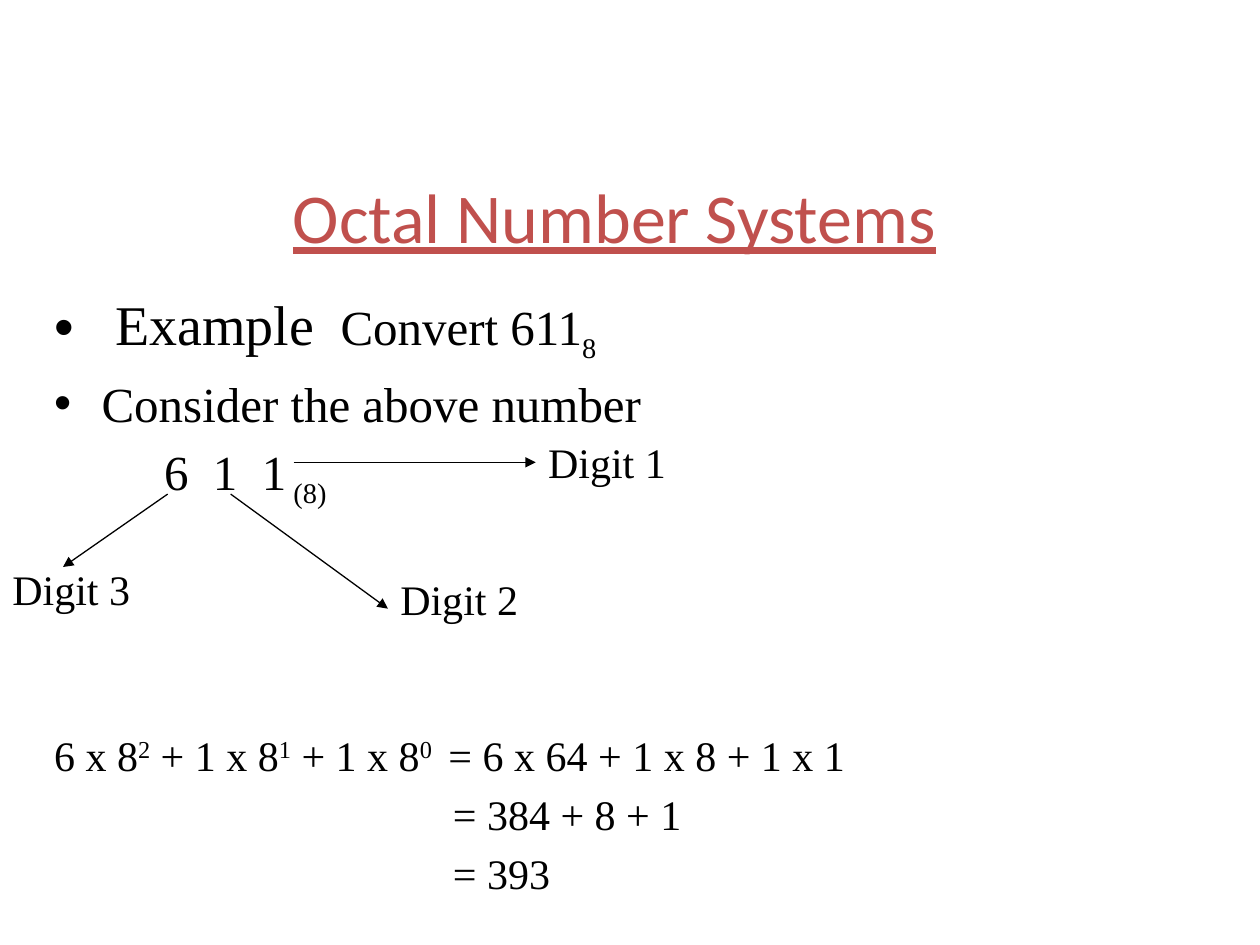
"""Build the slide that converts an octal number to decimal."""
import pptx
import pptx.dml.color
import pptx.enum.shapes
import pptx.enum.text
import pptx.oxml.ns
import pptx.util
from lxml import etree

Cm, Pt = pptx.util.Cm, pptx.util.Pt
RED = pptx.dml.color.RGBColor(0xC0, 0x50, 0x4D)
BLACK = pptx.dml.color.RGBColor(0, 0, 0)
SERIF = "Times New Roman"
SUB, SUP = {"baseline": "-25000"}, {"baseline": "30000"}
WIDE = {"spc": "350"}

TITLE = "Octal Number Systems"
STEPS = [
    {"runs": [("Example ", 32, {}), (" Convert 611", 28, {}), ("8", 28, SUB)],
     "left": 1.23, "hang": 1.23, "bullet": True},
    {"runs": [("Consider the above number", 28, {})],
     "left": 0.96, "hang": 0.96, "bullet": True},
    {"runs": [("6 1 ", 28, WIDE), ("1", 28, {}), (" (8)", 28, SUB)],
     "left": 2.22},
]
SUMS = [
    {"runs": [("6 x 8", 24, {}), ("2", 24, SUP), (" + 1 x 8", 24, {}),
              ("1", 24, SUP), (" + 1 x 8", 24, {}), ("0 ", 24, SUP),
              (" = 6 x 64 + 1 x 8 + 1 x 1", 24, {})]},
    {"runs": [("= 384 + 8 + 1", 24, {})], "left": 8.04},
    {"runs": [("= 393", 24, {})], "left": 8.04},
]
BLOCKS = [
    (STEPS, (0.84, 5.72, 23.5, 5.2), 5.5),
    (SUMS, (0.84, 14.58, 23.5, 4.2), 5),
]
LABELS = [
    ("Digit 1", (10.8, 8.68), (5.92, 9.32), (10.8, 9.32)),
    ("Digit 2", (7.82, 11.43), (4.65, 9.96), (7.82, 12.27)),
    ("Digit 3", (0, 11.23), (3.38, 9.96), (1.27, 11.43)),
]


def add(node, tag, **attrs):
    return etree.SubElement(node, pptx.oxml.ns.qn(tag), attrs)


def add_box(slide, place):
    box = slide.shapes.add_textbox(*map(Cm, place))
    box.text_frame.word_wrap = True
    return box


def fill_para(para, runs, left=0, hang=0, bullet=False):
    props = para._p.get_or_add_pPr()
    props.set("marL", str(Cm(left)))
    props.set("indent", str(-Cm(hang)))
    if bullet:
        add(props, "a:buFont", typeface="Arial")
        add(props, "a:buChar", char="•")
    else:
        add(props, "a:buNone")
    para.font.name = SERIF
    para.font.color.rgb = BLACK
    for text, size, style in runs:
        run = para.add_run()
        run.text = text
        run.font.size = Pt(size)
        for name, value in style.items():
            run.font._element.set(name, value)


def add_block(slide, rows, place, gap):
    frame = add_box(slide, place).text_frame
    for num, row in enumerate(rows):
        para = frame.add_paragraph() if num else frame.paragraphs[0]
        fill_para(para, **row)
        if num:
            para.space_before = Pt(gap)


def add_label(slide, text, spot, start, end):
    box = add_box(slide, (*spot, 5.08, 1.28))
    fill_para(box.text_frame.paragraphs[0], [(text, 24, {})])
    line = slide.shapes.add_connector(
        pptx.enum.shapes.MSO_CONNECTOR.STRAIGHT, *map(Cm, start + end))
    line.line.color.rgb = BLACK
    line.line.width = Pt(0.75)
    add(line.line._get_or_add_ln(), "a:tailEnd", type="triangle")
    add(line._element.spPr, "a:effectLst")
    if end == (spot[0], round(spot[1] + 0.64, 2)):
        line.end_connect(box, 1)


def add_title(slide):
    title = slide.shapes.title
    title.left, title.top, title.width, title.height = map(
        Cm, (2.54, 2.97, 19.69, 2.74))
    title.text_frame.text = TITLE
    title.text_frame.vertical_anchor = pptx.enum.text.MSO_ANCHOR.MIDDLE
    para = title.text_frame.paragraphs[0]
    para.alignment = pptx.enum.text.PP_ALIGN.CENTER
    para.font.name = "Calibri"
    para.font.size = Pt(40)
    para.font.underline = True
    para.font.color.rgb = RED


def main():
    deck = pptx.Presentation()
    deck.slide_width, deck.slide_height = Cm(25.4), Cm(19.05)
    slide = deck.slides.add_slide(deck.slide_layouts[5])
    add_title(slide)
    for block in BLOCKS:
        add_block(slide, *block)
    for label in LABELS:
        add_label(slide, *label)
    deck.save("out.pptx")


if __name__ == "__main__":
    main()
